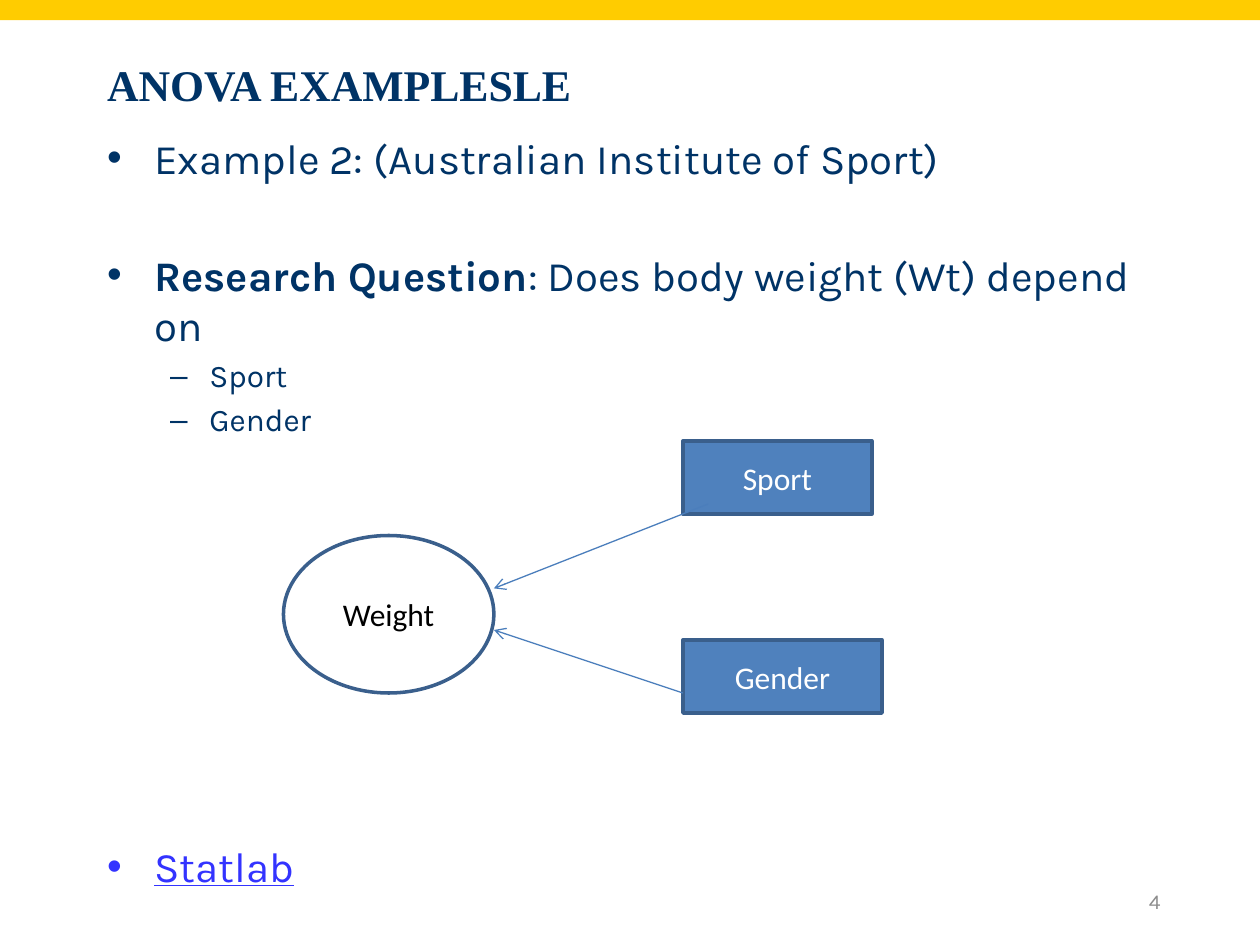
from lxml.etree import SubElement
from pptx import Presentation
from pptx.dml.color import RGBColor
from pptx.enum.shapes import MSO_CONNECTOR, MSO_SHAPE
from pptx.enum.text import MSO_ANCHOR, MSO_AUTO_SIZE, PP_ALIGN
from pptx.oxml.ns import qn
from pptx.util import Inches, Pt

THEME = {
    "band": "FFCC00", "navy": "003366", "link": "3333FF", "grey": "8C8C8C",
    "blue": "4F81BD", "edge": "3A5F8C", "arrow": "4B7EBC",
    "white": "FFFFFF", "black": "000000",
    "head": "Times New Roman", "body": "Karla", "node": "Calibri",
    "title": 25, "main": 24, "sub": 18, "num": 12,
}

TITLE = "ANOVA EXAMPLESLE"
# level, space before in points (None: as in the template), runs of (text, format)
POINTS = [
    (0, None, [("Example 2: (Australian Institute of Sport)", {})]),
    (0, 38, [("Research Question", {"bold": True}),
             (": Does body weight (Wt) depend on", {})]),
    (1, None, [("Sport", {})]),
    (1, None, [("Gender", {})]),
    (0, 230, [("Statlab", {"color": "link", "underline": True})]),
]
# text, shape, (left, top, width, height), fill, text colour
NODES = [
    ("Weight", MSO_SHAPE.OVAL, (2.25, 4.25, 1.67, 1.25), "white", "black"),
    ("Sport", MSO_SHAPE.RECTANGLE, (5.42, 3.5, 1.5, 0.58), "blue", "white"),
    ("Gender", MSO_SHAPE.RECTANGLE, (5.42, 5.08, 1.58, 0.58), "blue", "white"),
]
ARROWS = [((5.62, 4), (3.92, 4.67)), ((5.42, 5.5), (3.92, 5))]
NUMBER = "4"


def tint(name):
    return RGBColor.from_string(THEME[name])


def inch(vals):
    return [Inches(v) for v in vals]


def place(shape, box):
    for key, val in zip(("left", "top", "width", "height"), inch(box)):
        setattr(shape, key, val)


def write(para, text, size, face, color="navy", **form):
    run = para.add_run()
    run.text = text
    form = {"size": Pt(THEME[size]), "name": THEME[face], **form}
    for key, val in form.items():
        setattr(run.font, key, val)
    run.font.color.rgb = tint(color)


def frame(shape, anchor):
    form = {"word_wrap": True, "vertical_anchor": anchor,
            "auto_size": MSO_AUTO_SIZE.NONE}
    for key, val in form.items():
        setattr(shape.text_frame, key, val)
    return shape.text_frame


def draw(slide, kind, box, fill, edge=None):
    shape = slide.shapes.add_shape(kind, *inch(box))
    shape.shadow.inherit = False
    shape.fill.solid()
    shape.fill.fore_color.rgb = tint(fill)
    if edge:
        shape.line.color.rgb = tint(edge)
        shape.line.width = Pt(2)
    else:
        shape.line.fill.background()
    return shape


def link(slide, start, end):
    """Draw a thin line with an open arrowhead at its end."""
    line = slide.shapes.add_connector(
        MSO_CONNECTOR.STRAIGHT, *inch(start + end))
    line.line.color.rgb = tint("arrow")
    line.line.width = Pt(0.75)
    SubElement(line.line._get_or_add_ln(), qn("a:tailEnd"), type="arrow")
    SubElement(line._element.spPr, qn("a:effectLst"))


def label(shape, text, align, *style):
    para = frame(shape, MSO_ANCHOR.MIDDLE).paragraphs[0]
    para.alignment = align
    write(para, text, *style)
    return para


def main():
    deck = Presentation()
    deck.slide_width, deck.slide_height = inch((10, 7.5))
    slide = deck.slides.add_slide(deck.slide_layouts[1])
    draw(slide, MSO_SHAPE.RECTANGLE, (0, 0, 10, 0.16), "band")

    title, body = slide.placeholders
    place(title, (0.75, 0.25, 8.5, 0.83))
    para = label(title, TITLE, PP_ALIGN.LEFT, "title", "head")
    para.runs[0].font.bold = True

    place(body, (0.75, 1, 8.5, 4.92))
    text = frame(body, MSO_ANCHOR.TOP)
    for i, (level, gap, runs) in enumerate(POINTS):
        para = text.add_paragraph() if i else text.paragraphs[0]
        para.level = level
        if gap:
            para.space_before = Pt(gap)
        for words, form in runs:
            write(para, words, "sub" if level else "main", "body", **form)

    for words, kind, box, fill, color in NODES:
        node = draw(slide, kind, box, fill, "edge")
        label(node, words, PP_ALIGN.CENTER, "sub", "node", color)
    for start, end in ARROWS:
        link(slide, start, end)

    num = slide.shapes.add_textbox(*inch((7.06, 6.95, 2.25, 0.4)))
    label(num, NUMBER, PP_ALIGN.RIGHT, "num", "body", "grey")
    deck.save("out.pptx")


if __name__ == "__main__":
    main()
